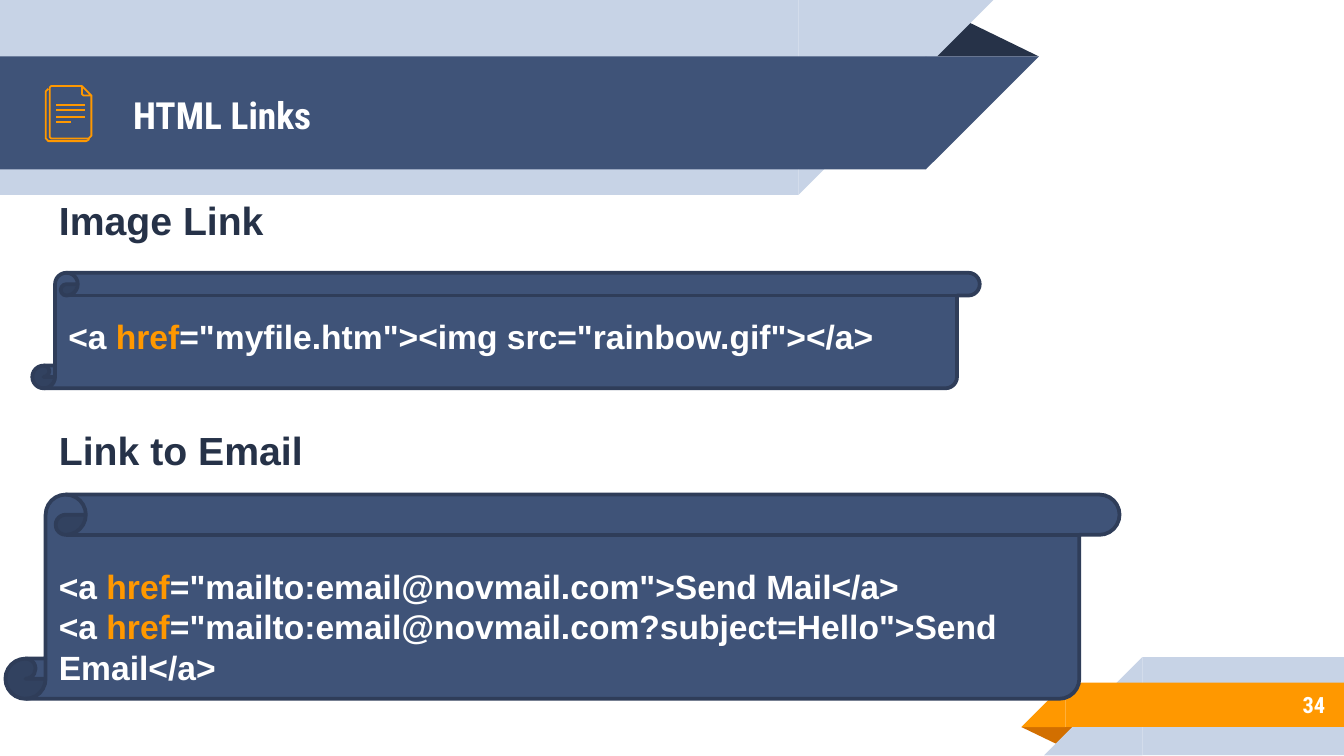
"""Build the HTML Links slide with its banners, page icon and code scrolls."""
from pptx import Presentation
from pptx.dml.color import RGBColor
from pptx.enum.shapes import MSO_CONNECTOR, MSO_SHAPE
from pptx.enum.text import MSO_ANCHOR, MSO_AUTO_SIZE, PP_ALIGN
from pptx.oxml.ns import qn
from pptx.util import Inches, Pt
from lxml.etree import SubElement

WIDTH = 10
HEIGHT = WIDTH * 9 / 16
NAVY, DARK, PALE, ORANGE, WHITE = "3F5378", "263248", "C7D3E6", "FF9800", "FFFFFF"
BODY_FONT, TITLE_FONT = "Arial", "Roboto Condensed"

BANNERS = [
    {"fold": (6.88, 0.14, 0.85, 0.28), "fold_colour": DARK, "rotation": 0, "at_top": True,
     "bands": [(0, 0, 5.94, 1.45, PALE), (0, 0.42, 6.89, 0.84, NAVY)]},
    {"fold": (7.6, 5.41, 0.43, 0.14), "fold_colour": "D26F00", "rotation": 180, "at_top": False,
     "bands": [(8.5, 4.89, 1.5, 0.73, PALE), (7.93, 5.08, 2.07, 0.33, ORANGE)]},
]
PAGE_OUTLINES = [
    ([(66, 103), (66, 104), (64, 105), (36, 105), (34, 103), (34, 68), (35, 67), (36, 66)], False),
    ([(68, 71), (68, 101), (67, 102), (66, 103), (38, 103), (37, 102),
      (37, 65), (38, 64), (61, 64)], False),
    ([(61, 70), (61, 64), (68, 71), (62, 71)], True),
]
PAGE_LINES = [(0.78, 0.21), (0.82, 0.21), (0.87, 0.21), (0.91, 0.11)]
SECTIONS = [
    {"heading": "Image Link", "top": 1.41, "scroll": (0.24, 2.03, 7.05, 0.86), "inset": 0.05,
     "code": ['="myfile.htm"><img src="rainbow.gif"></a>']},
    {"heading": "Link to Email", "top": 3.12, "scroll": (0.04, 3.68, 8.29, 1.52), "inset": 0.34,
     "code": ['="mailto:email@novmail.com">Send Mail</a>',
              '="mailto:email@novmail.com?subject=Hello">Send Email</a>']},
]


def colour(hex_string):
    return RGBColor.from_string(hex_string)


def add_preset(shapes, preset, box, fill, rotation=0, flip=False):
    shape = shapes.add_shape(preset, *map(Inches, box))
    shape.shadow.inherit = False
    shape.fill.solid()
    shape.fill.fore_color.rgb = colour(fill)
    shape.line.fill.background()
    shape.rotation = rotation
    if flip:
        shape.element.spPr.find(qn("a:xfrm")).set("flipH", "1")
    return shape


def add_banner(slide, banner):
    shapes = slide.shapes.add_group_shape().shapes
    fold = add_preset(shapes, MSO_SHAPE.ISOSCELES_TRIANGLE, banner["fold"],
                      banner["fold_colour"], banner["rotation"])
    fold.adjustments[0] = 0.324
    turn = 180 if banner["at_top"] else 0
    for left, top, width, height, fill in banner["bands"]:
        slant = left + width if banner["at_top"] else left - height
        add_preset(shapes, MSO_SHAPE.RECTANGLE, (left, top, width, height), fill, turn, True)
        add_preset(shapes, MSO_SHAPE.RIGHT_TRIANGLE, (slant, top, height, height), fill, turn, True)


def style_line(shape, hex_string, width):
    shape.line.color.rgb = colour(hex_string)
    shape.line.width = Pt(width)


def add_page_icon(slide):
    shapes = slide.shapes.add_group_shape().shapes
    for points, closed in PAGE_OUTLINES:
        builder = shapes.build_freeform(*points[0], scale=Inches(0.01))
        builder.add_line_segments(points[1:], close=closed)
        outline = builder.convert_to_shape()
        outline.shadow.inherit = False
        outline.fill.background()
        style_line(outline, ORANGE, 0.96)
    for top, width in PAGE_LINES:
        ends = map(Inches, (0.42 + width, top, 0.42, top))
        line = shapes.add_connector(MSO_CONNECTOR.STRAIGHT, *ends)
        style_line(line, ORANGE, 0.96)
        SubElement(line.element.spPr, qn("a:effectLst"))


def write(shape, lines, size, font, anchor, inset=None, align=PP_ALIGN.LEFT):
    frame = shape.text_frame
    frame.word_wrap = True
    frame.auto_size = MSO_AUTO_SIZE.NONE
    frame.vertical_anchor = anchor
    if inset is not None:
        frame.margin_left = frame.margin_right = Inches(inset)
        frame.margin_top = frame.margin_bottom = Inches(inset)
    for index, runs in enumerate(lines):
        paragraph = frame.add_paragraph() if index else frame.paragraphs[0]
        paragraph.alignment = align
        for text, hex_string in runs:
            run = paragraph.add_run()
            run.text = text
            run.font.size = Pt(size)
            run.font.name = font
            run.font.bold = True
            run.font.color.rgb = colour(hex_string)


def add_section(slide, section):
    scroll = add_preset(slide.shapes, MSO_SHAPE.VERTICAL_SCROLL, section["scroll"], NAVY)
    scroll.adjustments[0] = 0.197
    style_line(scroll, "2F3D59", 2)
    lines = [[("<a ", WHITE), ("href", ORANGE), (ending, WHITE)] for ending in section["code"]]
    write(scroll, lines, 18, BODY_FONT, MSO_ANCHOR.MIDDLE)
    scroll.text_frame.margin_top = Inches(section["inset"])
    heading = slide.shapes.add_textbox(*map(Inches, (0.34, section["top"], 9.58, 0.45)))
    write(heading, [[(section["heading"], DARK)]], 21, BODY_FONT, MSO_ANCHOR.TOP)


def main():
    presentation = Presentation()
    presentation.slide_width, presentation.slide_height = Inches(WIDTH), Inches(HEIGHT)
    slide = presentation.slides.add_slide(presentation.slide_layouts[5])
    for banner in BANNERS:
        add_banner(slide, banner)
    title = slide.shapes.title
    title.left, title.top, title.width, title.height = map(Inches, (0.89, 0.43, 5.75, 0.84))
    title.element.getparent().append(title.element)
    write(title, [[("HTML Links", WHITE)]], 20, TITLE_FONT, MSO_ANCHOR.MIDDLE, 0.1)
    number = slide.shapes.add_textbox(*map(Inches, (8.33, 5.07, 1.63, 0.35)))
    write(number, [[("34", WHITE)]], 12, TITLE_FONT, MSO_ANCHOR.MIDDLE, 0.1, PP_ALIGN.RIGHT)
    add_page_icon(slide)
    for section in SECTIONS:
        add_section(slide, section)
    presentation.save("out.pptx")


if __name__ == "__main__":
    main()
